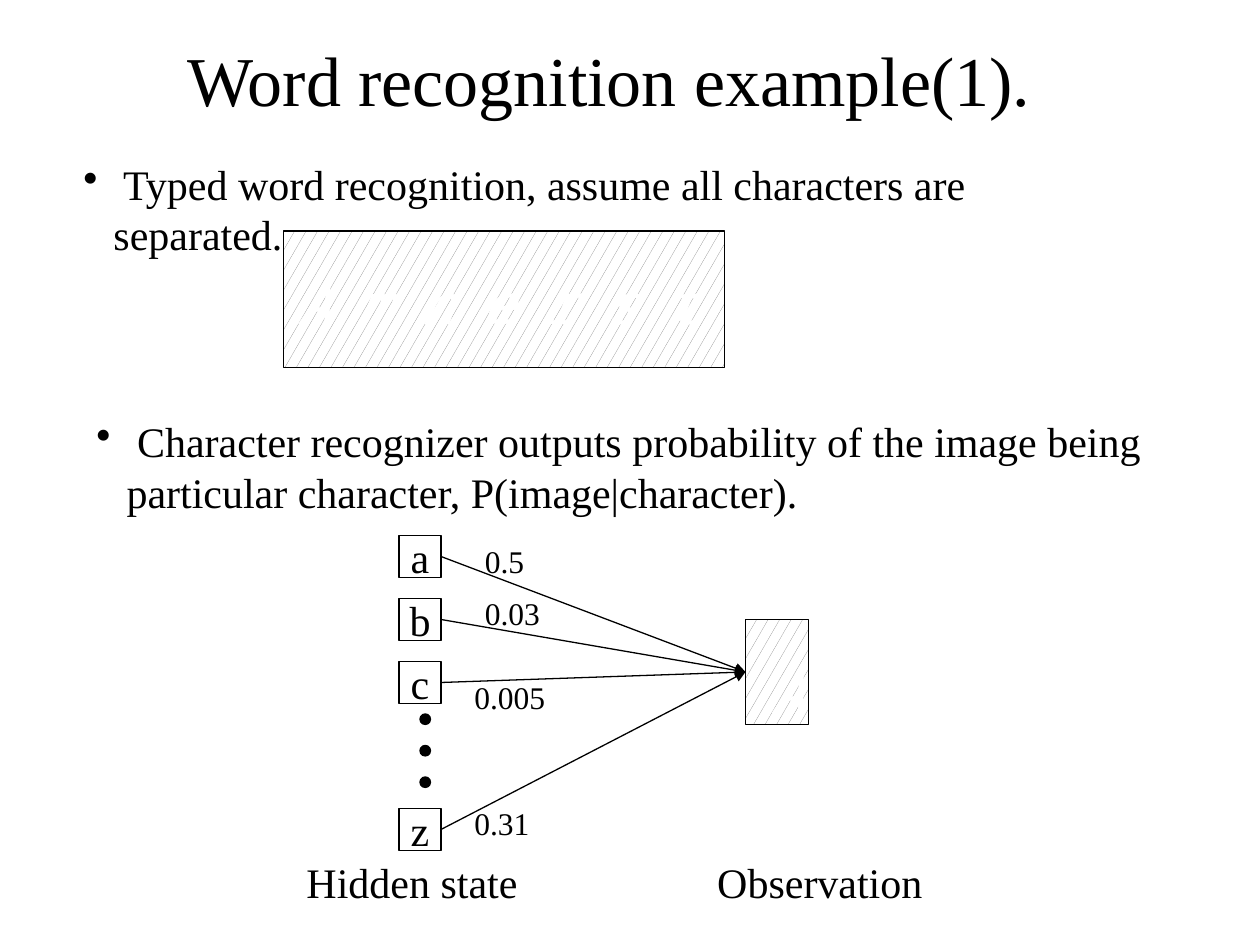
from dataclasses import dataclass

import pptx
import pptx.dml.color
import pptx.enum.dml
import pptx.enum.shapes
import pptx.enum.text
import pptx.oxml.ns
import pptx.util
from lxml import etree

PX = pptx.util.Inches(1) // 96
SERIF = "Times New Roman"
BLACK, GRAY, WHITE = "000000", "808080", "FFFFFF"
PATTERN = pptx.enum.dml.MSO_PATTERN
SHAPE = pptx.enum.shapes.MSO_SHAPE
ALIGN = pptx.enum.text.PP_ALIGN
MIDDLE = pptx.enum.text.MSO_ANCHOR.MIDDLE


@dataclass(frozen=True)
class Box:
    left: int
    top: int
    width: int
    height: int

    def emu(self) -> tuple[int, ...]:
        return tuple(v * PX for v in (self.left, self.top, self.width, self.height))


@dataclass(frozen=True)
class Label:
    text: str
    box: Box
    size: int
    centered: bool = False
    wrap: bool = False


@dataclass(frozen=True)
class State:
    letter: str
    top: int
    probability: Label


def color(value: str) -> pptx.dml.color.RGBColor:
    return pptx.dml.color.RGBColor.from_string(value)


def add_child(parent, tag: str, **attributes: str):
    return etree.SubElement(parent, pptx.oxml.ns.qn(tag), attributes)


def set_pattern(fill, pattern) -> None:
    fill.patterned()
    fill.pattern = pattern
    fill.fore_color.rgb = color(GRAY)
    fill.back_color.rgb = color(WHITE)


def write(frame, text: str, size: int, centered: bool, wrap: bool):
    frame.word_wrap = wrap
    para = frame.paragraphs[0]
    para.text = text
    para.alignment = ALIGN.CENTER if centered else ALIGN.LEFT
    para.font.name = SERIF
    para.font.size = pptx.util.Pt(size)
    para.font.color.rgb = color(BLACK)
    return para


def add_label(page, label: Label):
    frame = page.shapes.add_textbox(*label.box.emu()).text_frame
    if label.centered:
        frame.vertical_anchor = MIDDLE
    return write(frame, label.text, label.size, label.centered, label.wrap)


def add_bullet(page, label: Label) -> None:
    properties = add_label(page, label)._p.get_or_add_pPr()
    indent = 23 * PX
    properties.set("marL", str(indent))
    properties.set("indent", str(-indent))
    add_child(properties, "a:buChar", char="•")


def add_outlined(page, kind, box: Box):
    shape = page.shapes.add_shape(kind, *box.emu())
    shape.shadow.inherit = False
    shape.line.color.rgb = color(BLACK)
    shape.line.width = pptx.util.Pt(0.75)
    return shape


def add_scan(page, box: Box, text: str, text_box: Box):
    """Draw a noisy character image: a speckled panel with faint lettering."""
    panel = add_outlined(page, SHAPE.RECTANGLE, box)
    set_pattern(panel.fill, PATTERN.SMALL_CONFETTI)
    frame = page.shapes.add_textbox(*text_box.emu()).text_frame
    frame.word_wrap = False
    frame.margin_left = frame.margin_right = 0
    para = frame.paragraphs[0]
    para.alignment = ALIGN.CENTER
    span = para.add_run()
    span.text = text
    span.font.name = "Noto Sans Mono"
    span.font.size = pptx.util.Pt(32)
    span.font.italic = True
    set_pattern(span.font.fill, PATTERN.PERCENT_70)
    span._r.get_or_add_rPr().set("spc", "1600")
    return panel


def add_state(page, state: State):
    square = add_outlined(page, SHAPE.RECTANGLE, Box(304, state.top, 32, 32))
    square.fill.background()
    square.text_frame.vertical_anchor = MIDDLE
    write(square.text_frame, state.letter, 24, centered=True, wrap=False)
    return square


def add_arrow(page, source, target) -> None:
    """Join the right side of source to the left side of target."""
    arrow = page.shapes.add_connector(
        pptx.enum.shapes.MSO_CONNECTOR.STRAIGHT, 0, 0, 0, 0)
    arrow.begin_connect(source, 3)
    arrow.end_connect(target, 1)
    arrow.line.color.rgb = color(BLACK)
    arrow.line.width = pptx.util.Pt(0.75)
    add_child(arrow.line._get_or_add_ln(), "a:tailEnd", type="triangle")
    add_child(arrow._element.spPr, "a:effectLst")


TITLE = Label("Word recognition example(1).", Box(56, 0, 816, 120), 40, True, True)
BULLETS = [
    Label(" Typed word recognition, assume all characters are separated.",
          Box(54, 116, 819, 86), 24, wrap=True),
    Label(" Character recognizer outputs probability of the image being "
          "particular character, P(image|character).",
          Box(64, 312, 818, 86), 24, wrap=True),
]
STATES = [
    State("a", 408, Label("0.5", Box(360, 408, 49, 38), 18)),
    State("b", 456, Label("0.03", Box(360, 448, 61, 38), 18)),
    State("c", 504, Label("0.005", Box(352, 512, 73, 38), 18)),
    State("z", 616, Label("0.31", Box(352, 608, 61, 38), 18)),
]
CAPTIONS = [
    Label("Hidden state", Box(224, 648, 190, 48), 24),
    Label("Observation", Box(537, 648, 190, 48), 24),
]


def main() -> None:
    deck = pptx.Presentation()
    deck.slide_width, deck.slide_height = 960 * PX, 720 * PX
    page = deck.slides.add_slide(deck.slide_layouts[6])

    add_label(page, TITLE)
    for bullet in BULLETS:
        add_bullet(page, bullet)
    add_scan(page, Box(216, 176, 336, 104), "Amherst", Box(204, 200, 352, 54))
    observation = add_scan(page, Box(568, 472, 48, 80), "A", Box(576, 496, 48, 40))

    for state in STATES:
        add_label(page, state.probability)
        add_arrow(page, add_state(page, state), observation)
    for row in range(3):
        dot = add_outlined(page, SHAPE.OVAL, Box(320, 544 + 24 * row, 8, 8))
        dot.fill.solid()
        dot.fill.fore_color.rgb = color(BLACK)
    for caption in CAPTIONS:
        add_label(page, caption)

    deck.save("out.pptx")


if __name__ == "__main__":
    main()
